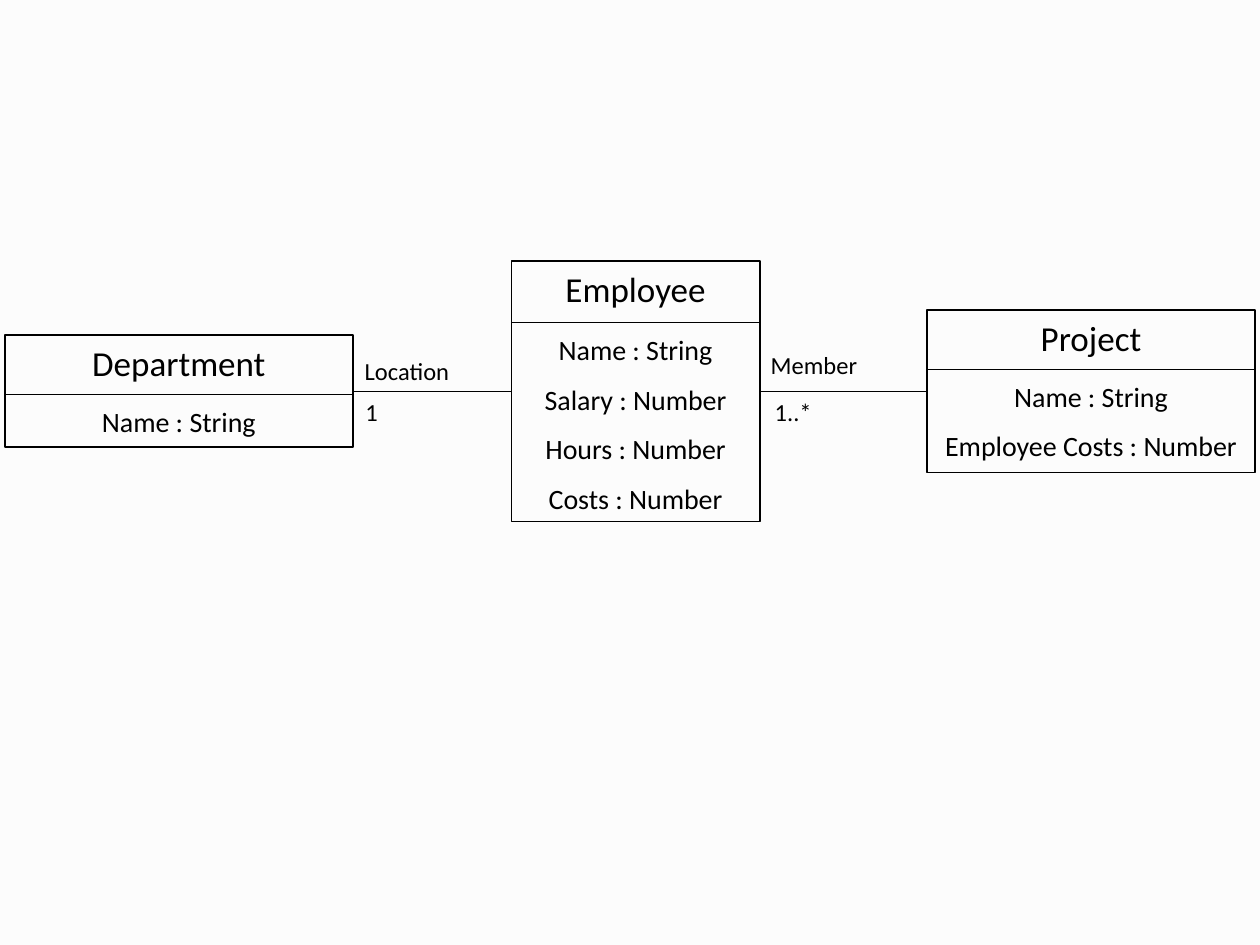
import pptx
import pptx.util
import pptx.dml.color
import pptx.enum.shapes
import pptx.enum.text
import pptx.oxml.ns
import lxml.etree

COLORS = {"background": "FCFCFC", "ink": "000000"}
FONT = "Calibri"
COLUMNS, ROWS = 100, 75  # grid cells across and down the slide
ATTRIBUTE_HEIGHT, ATTRIBUTE_PITCH, ATTRIBUTE_GAP = 3.7, 3.94, 0.3
LABEL_HEIGHT = 3.4
LEFT_SITE, RIGHT_SITE = 1, 3  # connection sites of a rectangle

# Name, left, top, width, height, title height, attributes
CLASSES = [
    ("Employee", 40.6, 20.7, 19.7, 20.7, 4.9,
     ["Name : String", "Salary : Number", "Hours : Number", "Costs : Number"]),
    ("Project", 73.6, 24.6, 26, 12.9, 4.7,
     ["Name : String", "Employee Costs : Number"]),
    ("Department", 0.4, 26.6, 27.6, 8.9, 4.7, ["Name : String"]),
]
# Class at the right end, class at the left end
ASSOCIATIONS = [("Project", "Employee"), ("Employee", "Department")]
# Text, left, top, width
LABELS = [
    ("Member", 58.7, 27.3, 11.8),
    ("1..*", 60.2, 31, 5.5),
    ("Location", 26.4, 27.8, 11.8),
    ("1", 28, 31, 3),
]


def rgb(name):
    return pptx.dml.color.RGBColor.from_string(COLORS[name])


def cells(*lengths):
    return [pptx.util.Inches(length * 10 / COLUMNS) for length in lengths]


def write(frame, text, size):
    frame.word_wrap = True
    frame.vertical_anchor = pptx.enum.text.MSO_ANCHOR.TOP
    paragraph = frame.paragraphs[0]
    paragraph.text = text
    paragraph.alignment = pptx.enum.text.PP_ALIGN.CENTER
    paragraph.font.name = FONT
    paragraph.font.size = pptx.util.Pt(size)
    paragraph.font.color.rgb = rgb("ink")


def add_text(slide, text, size, *area):
    box = slide.shapes.add_textbox(*cells(*area))
    write(box.text_frame, text, size)


def add_line(slide, kind, *ends):
    line = slide.shapes.add_connector(kind, *cells(*ends))
    line.line.color.rgb = rgb("ink")
    line.line.width = pptx.util.Pt(0.75)
    properties = line._element.spPr
    lxml.etree.SubElement(properties, pptx.oxml.ns.qn("a:effectLst"))
    return line


def add_class(slide, name, left, top, width, height, title_height, attributes):
    box = slide.shapes.add_shape(
        pptx.enum.shapes.MSO_SHAPE.RECTANGLE, *cells(left, top, width, height))
    box.shadow.inherit = False
    box.fill.background()
    box.line.color.rgb = rgb("ink")
    box.line.width = pptx.util.Pt(1)
    write(box.text_frame, name, 20)

    divider = top + title_height
    add_line(slide, pptx.enum.shapes.MSO_CONNECTOR.STRAIGHT,
             left, divider, left + width, divider)
    for row, attribute in enumerate(attributes):
        attribute_top = divider + ATTRIBUTE_GAP + row * ATTRIBUTE_PITCH
        add_text(slide, attribute, 16, left, attribute_top, width, ATTRIBUTE_HEIGHT)
    return box


def add_association(slide, right_class, left_class):
    link = add_line(slide, pptx.enum.shapes.MSO_CONNECTOR.ELBOW, 0, 0, 0, 0)
    link.begin_connect(right_class, LEFT_SITE)
    link.end_connect(left_class, RIGHT_SITE)


def main():
    deck = pptx.Presentation()
    deck.slide_width, deck.slide_height = cells(COLUMNS, ROWS)
    slide = deck.slides.add_slide(deck.slide_layouts[6])
    slide.background.fill.solid()
    slide.background.fill.fore_color.rgb = rgb("background")

    # Classes with their attributes
    classes = {entry[0]: add_class(slide, *entry) for entry in CLASSES}

    # Associations between classes
    for right_name, left_name in ASSOCIATIONS:
        add_association(slide, classes[right_name], classes[left_name])

    # Roles and multiplicities
    for text, left, top, width in LABELS:
        add_text(slide, text, 14, left, top, width, LABEL_HEIGHT)

    deck.save("out.pptx")


main()
